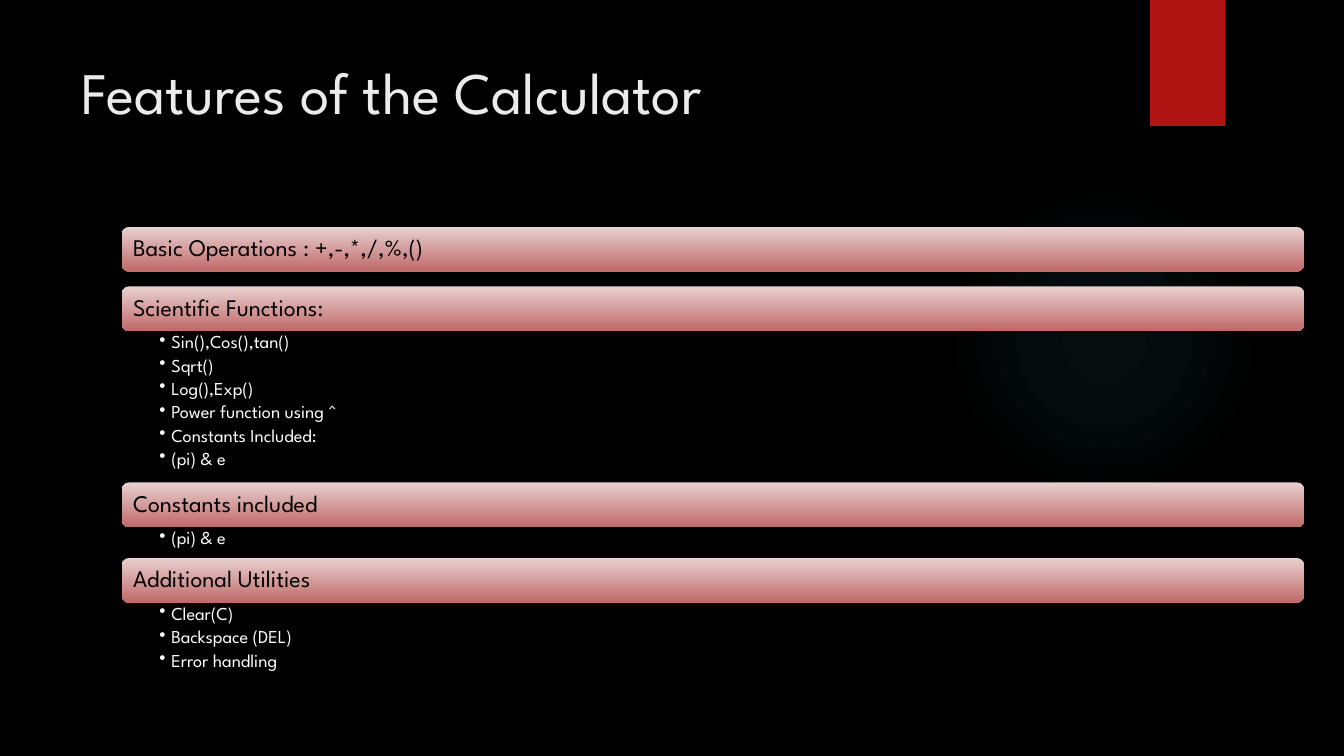
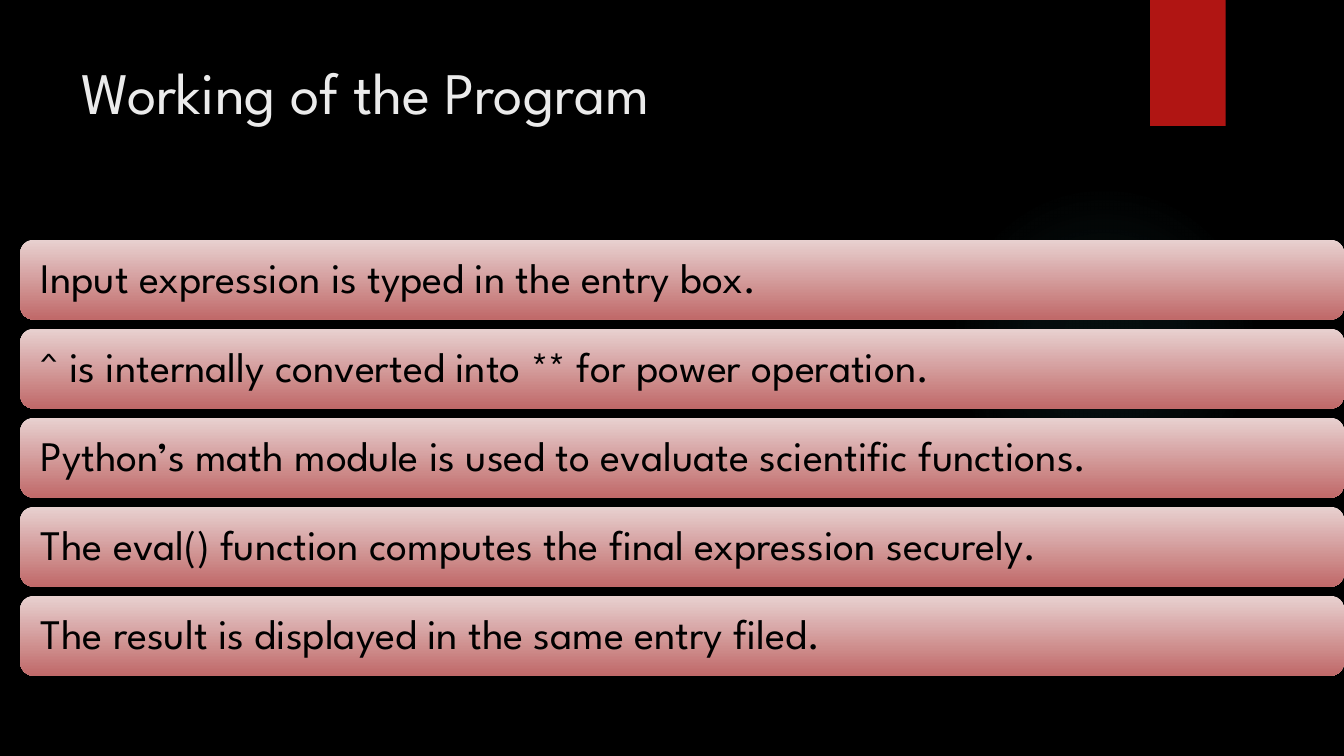
from pptx import Presentation
from pptx.dml.color import RGBColor
from pptx.enum.shapes import MSO_SHAPE as Shape
from pptx.enum.text import MSO_ANCHOR as Anchor, MSO_AUTO_SIZE as AutoSize, PP_ALIGN as Align
from pptx.oxml import parse_xml
from pptx.oxml.ns import nsdecls
from pptx.util import Pt
from lxml import etree

FONT = "League Spartan"
COLORS = {
    "background": "000000",
    "title": "EBEBEB",
    "tab": "B01513",
    "glow": "50B9C1",
    "bar_top": "E8D1D0",
    "bar_bottom": "C06969",
    "bar_text": "000000",
    "bullet_text": "FFFFFF",
}
GLOW_STOPS = [(0, 7), (36, 6), (69, 0)]

FEATURES = [
    ("Basic Operations : +,-,*,/,%,()", []),
    ("Scientific Functions:", [
        "Sin(),Cos(),tan()",
        "Sqrt()",
        "Log(),Exp()",
        "Power function using ^",
        "Constants Included:",
        "(pi) & e",
    ]),
    ("Constants included", ["(pi) & e"]),
    ("Additional Utilities", ["Clear(C)", "Backspace (DEL)", "Error handling"]),
]
STEPS = [
    "Input expression is typed in the entry box.",
    "^ is internally converted into ** for power operation.",
    "Python’s math module is used to evaluate scientific functions.",
    "The eval() function computes the final expression securely.",
    "The result is displayed in the same entry filed.",
]


def color(name):
    return RGBColor.from_string(COLORS[name])


def set_font(paragraph, size, color_name):
    paragraph.font.name = FONT
    paragraph.font.size = Pt(size)
    paragraph.font.color.rgb = color(color_name)


def set_insets(frame, left, top, right, bottom):
    frame.margin_left, frame.margin_top = Pt(left), Pt(top)
    frame.margin_right, frame.margin_bottom = Pt(right), Pt(bottom)


def add_plain_shape(slide, kind, left, top, width, height):
    shape = slide.shapes.add_shape(kind, Pt(left), Pt(top), Pt(width), Pt(height))
    shape.shadow.inherit = False
    shape.line.fill.background()
    return shape


def add_glow(slide):
    glow = add_plain_shape(slide, Shape.OVAL, 677.5, 131.8, 221.8, 221.8)
    stops = "".join(
        f'<a:gs pos="{position * 1000}"><a:srgbClr val="{COLORS["glow"]}">'
        f'<a:alpha val="{opacity * 1000}"/></a:srgbClr></a:gs>'
        for position, opacity in GLOW_STOPS
    )
    gradient = parse_xml(
        f'<a:gradFill {nsdecls("a")}><a:gsLst>{stops}</a:gsLst><a:path path="circle">'
        '<a:fillToRect l="50000" t="50000" r="50000" b="50000"/></a:path></a:gradFill>'
    )
    glow._element.spPr.insert(2, gradient)


def add_tab(slide):
    tab = add_plain_shape(slide, Shape.RECTANGLE, 821.5, 0, 54, 90)
    tab.fill.solid()
    tab.fill.fore_color.rgb = color("tab")


def add_titled_slide(prs, heading):
    slide = prs.slides.add_slide(prs.slide_layouts[5])
    add_glow(slide)
    add_tab(slide)
    title = slide.shapes.title
    title.left, title.top, title.width, title.height = Pt(51), Pt(36), Pt(741), Pt(110)
    frame = title.text_frame
    frame.text = heading
    frame.auto_size = AutoSize.NONE
    frame.vertical_anchor = Anchor.TOP
    frame.paragraphs[0].alignment = Align.LEFT
    set_font(frame.paragraphs[0], 42, "title")
    return slide


def add_bar(slide, text, left, top, width, height, size, inset):
    bar = add_plain_shape(slide, Shape.ROUNDED_RECTANGLE, left, top, width, height)
    bar.fill.gradient()
    bar.fill.gradient_angle = 270
    for stop, name, position in zip(bar.fill.gradient_stops, ("bar_top", "bar_bottom"), (0, 1)):
        stop.color.rgb = color(name)
        stop.position = position
    frame = bar.text_frame
    frame.text = text
    frame.vertical_anchor = Anchor.MIDDLE
    set_insets(frame, inset, 0, inset, 0)
    paragraph = frame.paragraphs[0]
    paragraph.alignment = Align.LEFT
    paragraph.line_spacing = 0.9
    set_font(paragraph, size, "bar_text")


def add_bullets(slide, items, left, top, width, height):
    frame = slide.shapes.add_textbox(Pt(left), Pt(top), Pt(width), Pt(height)).text_frame
    frame.word_wrap = True
    set_insets(frame, 26.8, 1.5, 9.4, 1.5)
    frame.text = "\n".join(items)
    for paragraph in frame.paragraphs:
        paragraph.level = 1
        paragraph.line_spacing = 0.9
        paragraph.space_after = Pt(2.6)
        set_font(paragraph, 13, "bullet_text")
        properties = paragraph._p.get_or_add_pPr()
        properties.set("marL", str(Pt(8.6)))
        properties.set("indent", str(-Pt(8.6)))
        bullet = parse_xml(f'<a:buChar {nsdecls("a")} char="•"/>')
        properties.find(etree.QName(properties.nsmap["a"], "defRPr")).addprevious(bullet)


def add_features(slide):
    left, top, width, bar_height = 87, 162, 844.5, 32
    for heading, items in FEATURES:
        add_bar(slide, heading, left, top, width, bar_height, 17, 6.5)
        top += bar_height
        if items:
            list_height = max(22, 18 * len(items))
            add_bullets(slide, items, left, top, width, list_height)
            top += list_height
        else:
            top += 10.5


def add_steps(slide):
    for index, step in enumerate(STEPS):
        add_bar(slide, step, 14.5, 171.2 + 63.6 * index, 945.5, 57, 30, 11.8)


def main():
    prs = Presentation()
    prs.slide_width, prs.slide_height = Pt(960), Pt(540)
    backdrop = prs.slide_master.background.fill
    backdrop.solid()
    backdrop.fore_color.rgb = color("background")
    add_features(add_titled_slide(prs, "Features of the Calculator"))
    add_steps(add_titled_slide(prs, "Working of the Program"))
    prs.save("out.pptx")


if __name__ == "__main__":
    main()
